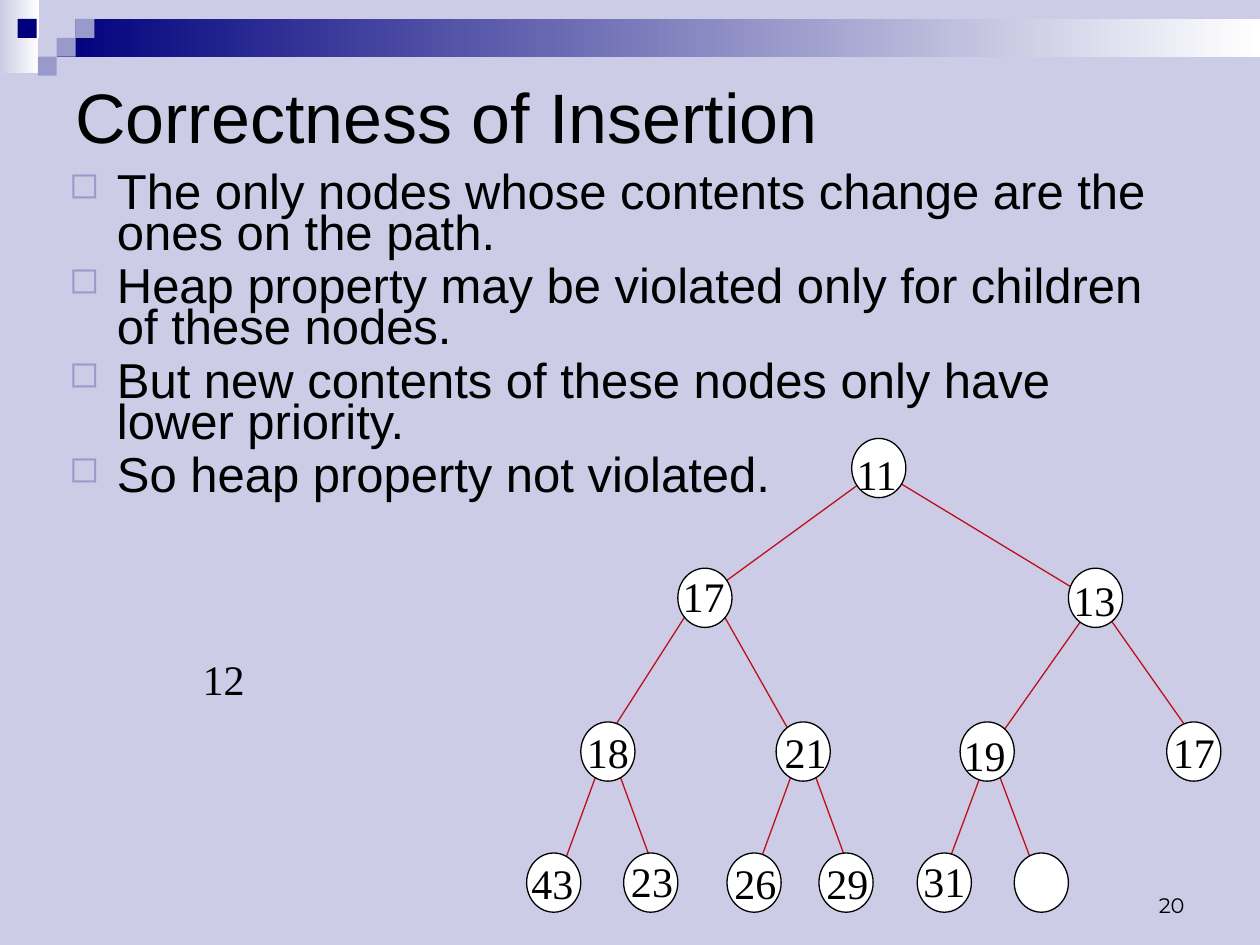
from lxml import etree
from pptx import Presentation
from pptx.dml.color import RGBColor
from pptx.enum.shapes import MSO_CONNECTOR, MSO_SHAPE
from pptx.enum.text import MSO_ANCHOR, PP_ALIGN
from pptx.oxml.ns import qn
from pptx.util import Inches, Pt

RECT, OVAL, STRAIGHT = MSO_SHAPE.RECTANGLE, MSO_SHAPE.OVAL, MSO_CONNECTOR.STRAIGHT
TOP, MIDDLE, BOTTOM = MSO_ANCHOR.TOP, MSO_ANCHOR.MIDDLE, MSO_ANCHOR.BOTTOM
LEFT, RIGHT = PP_ALIGN.LEFT, PP_ALIGN.RIGHT

BLACK = RGBColor(0x00, 0x00, 0x00)
WHITE = RGBColor(0xFF, 0xFF, 0xFF)
LAVENDER = RGBColor(0xCC, 0xCC, 0xE6)
PERIWINKLE = RGBColor(0x99, 0x99, 0xCC)
NAVY = RGBColor(0x00, 0x00, 0x7D)
RED = RGBColor(0xBF, 0x0F, 0x18)

SQUARE = 0.15
NODE_W, NODE_H = 0.43, 0.47

# Small header squares: left, top, colour
SQUARES = [
    (0.45, 0.15, LAVENDER), (0.6, 0, LAVENDER), (0.6, 0.15, PERIWINKLE),
    (0.3, 0.3, LAVENDER), (0.14, 0.15, NAVY), (0.45, 0.3, PERIWINKLE),
    (0.3, 0.45, PERIWINKLE),
]
BULLETS = [
    "The only nodes whose contents change are the ones on the path.",
    "Heap property may be violated only for children of these nodes.",
    "But new contents of these nodes only have lower priority.",
    "So heap property not violated.",
]
# Tree edges: x1, y1, x2, y2
EDGES = [
    (6.93, 3.76, 5.64, 4.7), (7.02, 3.76, 8.57, 4.7),
    (5.56, 4.7, 4.78, 5.92), (5.64, 4.7, 6.33, 5.92),
    (8.74, 4.7, 7.88, 5.92), (8.66, 4.7, 9.52, 5.92),
    (4.78, 6.02, 4.44, 6.95), (4.87, 6.02, 5.21, 6.95),
    (6.33, 6.02, 5.99, 6.95), (6.42, 6.02, 6.76, 6.95),
    (7.8, 6.11, 7.45, 7.05), (7.88, 6.02, 8.23, 6.95),
]
# Tree levels: top, then nodes as left, label, label left, label top
LEVELS = [
    (3.48, [(6.76, "11", 6.7, 3.51)]),
    (4.51, [(5.38, "17", 5.32, 4.48), (8.48, "13", 8.42, 4.51)]),
    (5.73, [(4.61, "18", 4.56, 5.72), (6.16, "21", 6.13, 5.72),
            (7.62, "19", 7.55, 5.74), (9.26, "17", 9.21, 5.72)]),
    (6.77, [(4.18, "43", 4.12, 6.76), (4.95, "23", 4.91, 6.74),
            (5.77, "26", 5.73, 6.76), (6.5, "29", 6.46, 6.76),
            (7.28, "31", 7.23, 6.74), (8.05, "", 0, 0)]),
]


class SlideBuilder:
    """Holds the style and the current slide."""

    font = "Arial"
    number_font = "Times New Roman"
    page_font = "Montserrat"
    line_width = Pt(0.75)

    def __init__(self, slide):
        self.s = slide
        self.s.background.fill.solid()
        self.s.background.fill.fore_color.rgb = LAVENDER

    def shape(self, kind, x, y, w, h, color, outline=None):
        sp = self.s.shapes.add_shape(kind, Inches(x), Inches(y), Inches(w), Inches(h))
        sp.shadow.inherit = False
        sp.fill.solid()
        sp.fill.fore_color.rgb = color
        if outline is None:
            sp.line.fill.background()
        else:
            sp.line.color.rgb = outline
            sp.line.width = self.line_width
        return sp

    def gradient(self, x, y, w, h, left, right):
        fill = self.shape(RECT, x, y, w, h, left).fill
        fill.gradient()
        fill.gradient_angle = 180
        for stop, color in zip(fill.gradient_stops, (right, left)):
            stop.color.rgb = color

    def edge(self, x1, y1, x2, y2):
        line = self.s.shapes.add_connector(
            STRAIGHT, Inches(x1), Inches(y1), Inches(x2), Inches(y2))
        line.line.color.rgb = RED
        line.line.width = self.line_width
        etree.SubElement(line._element.spPr, qn("a:effectLst"))

    def text(self, x, y, w, h, paragraphs, size, font, anchor=TOP,
             align=LEFT, wrap=True, bullets=False):
        sp = self.s.shapes.add_textbox(Inches(x), Inches(y), Inches(w), Inches(h))
        tf = sp.text_frame
        tf.word_wrap = wrap
        tf.vertical_anchor = anchor
        for i, words in enumerate(paragraphs):
            p = tf.paragraphs[0] if i == 0 else tf.add_paragraph()
            p.alignment = align
            if bullets:
                p.line_spacing = 0.7
                if i:
                    p.space_before = Pt(7)
                self.bullet(p)
            r = p.add_run()
            r.text = words
            r.font.size = Pt(size)
            r.font.name = font
            r.font.color.rgb = BLACK

    def bullet(self, p):
        pPr = p._p.get_or_add_pPr()
        pPr.set("marL", str(Inches(0.38)))
        pPr.set("indent", str(-Inches(0.38)))
        color = etree.SubElement(pPr, qn("a:buClr"))
        etree.SubElement(color, qn("a:srgbClr"), val=str(PERIWINKLE))
        etree.SubElement(pPr, qn("a:buSzPct"), val="75000")
        etree.SubElement(pPr, qn("a:buChar"), char="◻")

    def number(self, x, y, label):
        self.text(x, y, 0.53, 0.5, [label], 24, self.number_font, wrap=False)


def main():
    prs = Presentation()
    prs.slide_width, prs.slide_height = Inches(10), Inches(7.5)
    b = SlideBuilder(prs.slides.add_slide(prs.slide_layouts[6]))

    # Header decoration
    b.gradient(0, 0, 0.31, 0.58, LAVENDER, WHITE)
    b.gradient(0.45, 0.15, 9.55, 0.3, NAVY, WHITE)
    for x, y, color in SQUARES:
        b.shape(RECT, x, y, SQUARE, SQUARE, color)

    # Title and bullets
    b.text(0.5, 0.5, 9, 0.83, ["Correctness of Insertion"], 40, b.font, anchor=MIDDLE)
    b.text(0.45, 1.35, 8.9, 3, BULLETS, 28, b.font, bullets=True)

    # Heap tree: edges lie behind the nodes
    for edge in EDGES:
        b.edge(*edge)
    for top, nodes in LEVELS:
        for x, label, label_x, label_y in nodes:
            b.shape(OVAL, x, top, NODE_W, NODE_H, WHITE, BLACK)
            if label:
                b.number(label_x, label_y, label)

    # Value beside the tree and page number
    b.number(1.51, 5.14, "12")
    b.text(7.17, 6.83, 2.33, 0.5, ["20"], 12, b.page_font, anchor=BOTTOM, align=RIGHT)

    prs.save("out.pptx")


if __name__ == "__main__":
    main()
